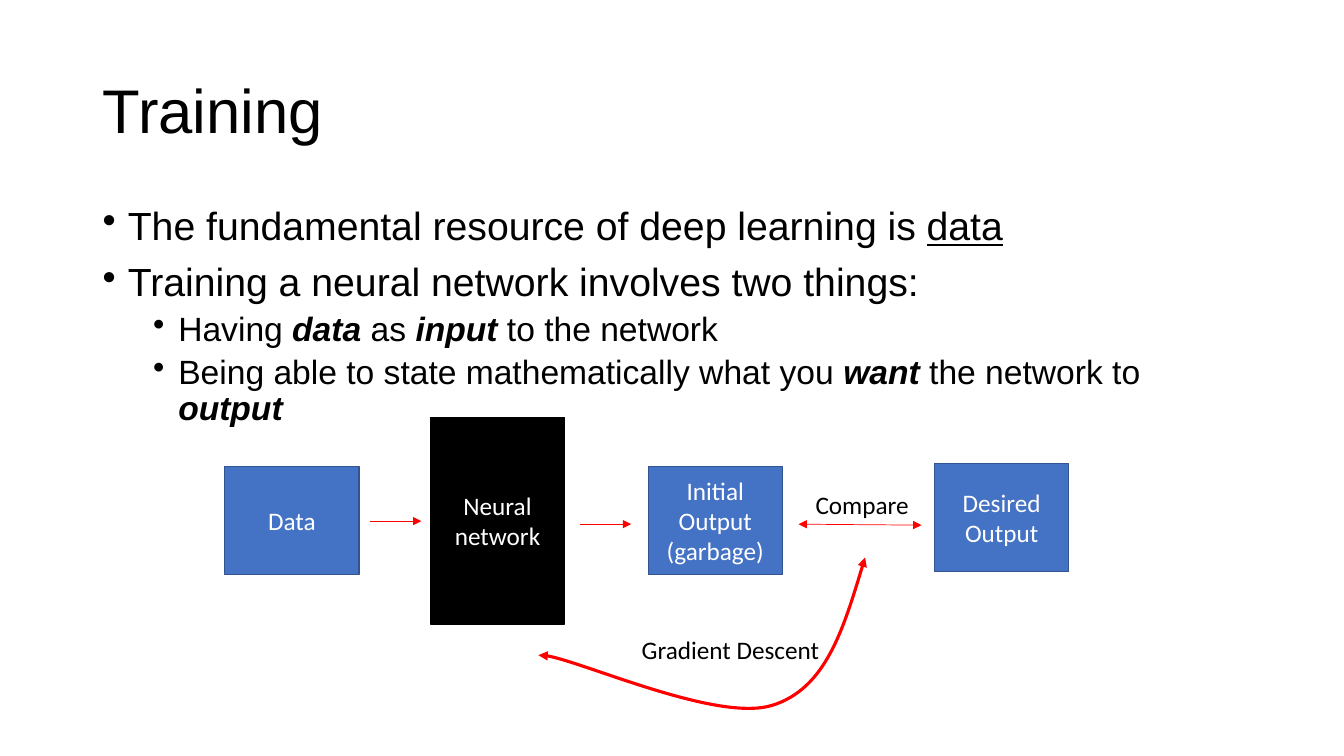
import pptx
import pptx.dml.color
import pptx.enum.shapes
import pptx.enum.text
import pptx.oxml.ns
import pptx.oxml.xmlchemy
import pptx.util

EMU_PER_PX = 9144
CENTER = pptx.enum.text.PP_ALIGN.CENTER
LEFT = pptx.enum.text.PP_ALIGN.LEFT
MIDDLE = pptx.enum.text.MSO_ANCHOR.MIDDLE


def px(length):
    return pptx.util.Emu(length * EMU_PER_PX)


def color(value):
    return pptx.dml.color.RGBColor.from_string(value)


def add_child(parent, tag, **attributes):
    child = pptx.oxml.xmlchemy.OxmlElement(tag)
    for name, value in attributes.items():
        child.set(name, value)
    parent.append(child)
    return child


class TrainingSlide:
    heading_font = "Arial"
    label_font = "Calibri"
    black = "000000"
    white = "FFFFFF"
    blue = "4472C4"
    blue_edge = "325491"
    red = "FF0000"

    def __init__(self, deck):
        self.slide = deck.slides.add_slide(deck.slide_layouts[5])
        self.shapes = self.slide.shapes

    def style(self, paragraph, font, size, fill, align=LEFT):
        paragraph.alignment = align
        paragraph.font.name = font
        paragraph.font.size = pptx.util.Pt(size)
        paragraph.font.color.rgb = color(fill)

    def title(self, text, left, top, width, height):
        title = self.shapes.title
        title.left, title.top = px(left), px(top)
        title.width, title.height = px(width), px(height)
        title.text_frame.text = text
        title.text_frame.vertical_anchor = MIDDLE
        para = title.text_frame.paragraphs[0]
        para.line_spacing = 0.9
        self.style(para, self.heading_font, 44, self.black)

    def bullets(self, items, left, top, width, height):
        box = self.shapes.add_textbox(px(left), px(top), px(width), px(height))
        frame = box.text_frame
        frame.word_wrap = True
        for index, (level, spans) in enumerate(items):
            para = frame.paragraphs[0] if index == 0 else frame.add_paragraph()
            para.level = level
            para.line_spacing = 0.9
            para.space_before = pptx.util.Pt(5 if level else 10)
            self.style(para, self.heading_font, 24 if level else 28, self.black)
            properties = para._p.get_or_add_pPr()
            properties.set("marL", str(px(25 + 50 * level)))
            properties.set("indent", str(px(-25)))
            bullet = add_child(properties, "a:buChar", char="•")
            properties.find(pptx.oxml.ns.qn("a:defRPr")).addprevious(bullet)
            for text, emphasis in spans:
                span = para.add_run()
                span.text = text
                if emphasis == "underline":
                    span.font.underline = True
                elif emphasis == "strong":
                    span.font.bold = span.font.italic = True

    def block(self, text, left, top, height, fill, edge):
        box = self.shapes.add_shape(pptx.enum.shapes.MSO_SHAPE.RECTANGLE,
                                    px(left), px(top), px(133), px(height))
        box.shadow.inherit = False
        box.fill.solid()
        box.fill.fore_color.rgb = color(fill)
        box.line.color.rgb = color(edge)
        box.line.width = pptx.util.Pt(1)
        frame = box.text_frame
        frame.word_wrap = True
        frame.vertical_anchor = MIDDLE
        frame.text = text
        self.style(frame.paragraphs[0], self.label_font, 18, self.white, CENTER)

    def label(self, text, left, top, width, align):
        box = self.shapes.add_textbox(px(left), px(top), px(width), px(40))
        box.text_frame.word_wrap = True
        box.text_frame.text = text
        self.style(box.text_frame.paragraphs[0], self.label_font, 18, self.black, align)

    def red_line(self, shape, width, ends):
        shape.line.color.rgb = color(self.red)
        shape.line.width = pptx.util.Pt(width)
        outline = shape._element.spPr.find(pptx.oxml.ns.qn("a:ln"))
        for end in ends:
            add_child(outline, end, type="triangle")

    def arrow(self, start, finish, ends):
        line = self.shapes.add_connector(pptx.enum.shapes.MSO_CONNECTOR.STRAIGHT,
                                         *map(px, start + finish))
        self.red_line(line, 0.5, ends)
        add_child(line._element.spPr, "a:effectLst")

    def curve(self, points, height, ends):
        builder = self.shapes.build_freeform(*points[0], scale=EMU_PER_PX)
        builder.add_line_segments(points[1:], close=False)
        shape = builder.convert_to_shape()
        shape.shadow.inherit = False
        shape.fill.background()
        self.red_line(shape, 2.25, ends)
        outline = next(shape._element.iter(pptx.oxml.ns.qn("a:path")))
        segments = outline.findall(pptx.oxml.ns.qn("a:lnTo"))
        for first in range(0, len(segments), 3):
            bezier = add_child(outline, "a:cubicBezTo")
            for segment in segments[first:first + 3]:
                bezier.append(segment[0])
                outline.remove(segment)
        outline.set("h", str(height))
        shape.height = px(height)


def main():
    deck = pptx.Presentation()
    deck.slide_width, deck.slide_height = pptx.util.Inches(13.33), pptx.util.Inches(7.5)
    page = TrainingSlide(deck)
    page.title("Training", 92, 40, 1150, 145)
    page.bullets([
        (0, [("The fundamental resource of deep learning is ", None), ("data", "underline")]),
        (0, [("Training a neural network involves two things:", None)]),
        (1, [("Having ", None), ("data", "strong"), (" as ", None),
             ("input", "strong"), (" to the network", None)]),
        (1, [("Being able to state mathematically what you ", None), ("want", "strong"),
             (" the network to ", None), ("output", "strong")]),
    ], 92, 200, 1150, 550)

    page.block("Data", 223, 463, 107, page.blue, page.blue_edge)
    page.block("Neural network", 427, 414, 205, page.black, page.black)
    page.block("Initial Output (garbage)", 643, 463, 107, page.blue, page.blue_edge)
    page.block("Desired Output", 927, 460, 107, page.blue, page.blue_edge)

    one_way = ["a:tailEnd"]
    both_ways = ["a:headEnd", "a:tailEnd"]
    page.arrow((367, 517), (418, 517), one_way)
    page.arrow((575, 520), (626, 520), one_way)
    page.arrow((792, 520), (914, 521), both_ways)
    page.label("Compare", 799, 481, 135, LEFT)
    page.curve([(858, 553), (838, 619), (819, 684), (765, 700),
                (710, 716), (555, 646), (534, 650)], 149, both_ways)
    page.label("Gradient Descent", 626, 624, 197, CENTER)
    deck.save("out.pptx")


if __name__ == "__main__":
    main()
